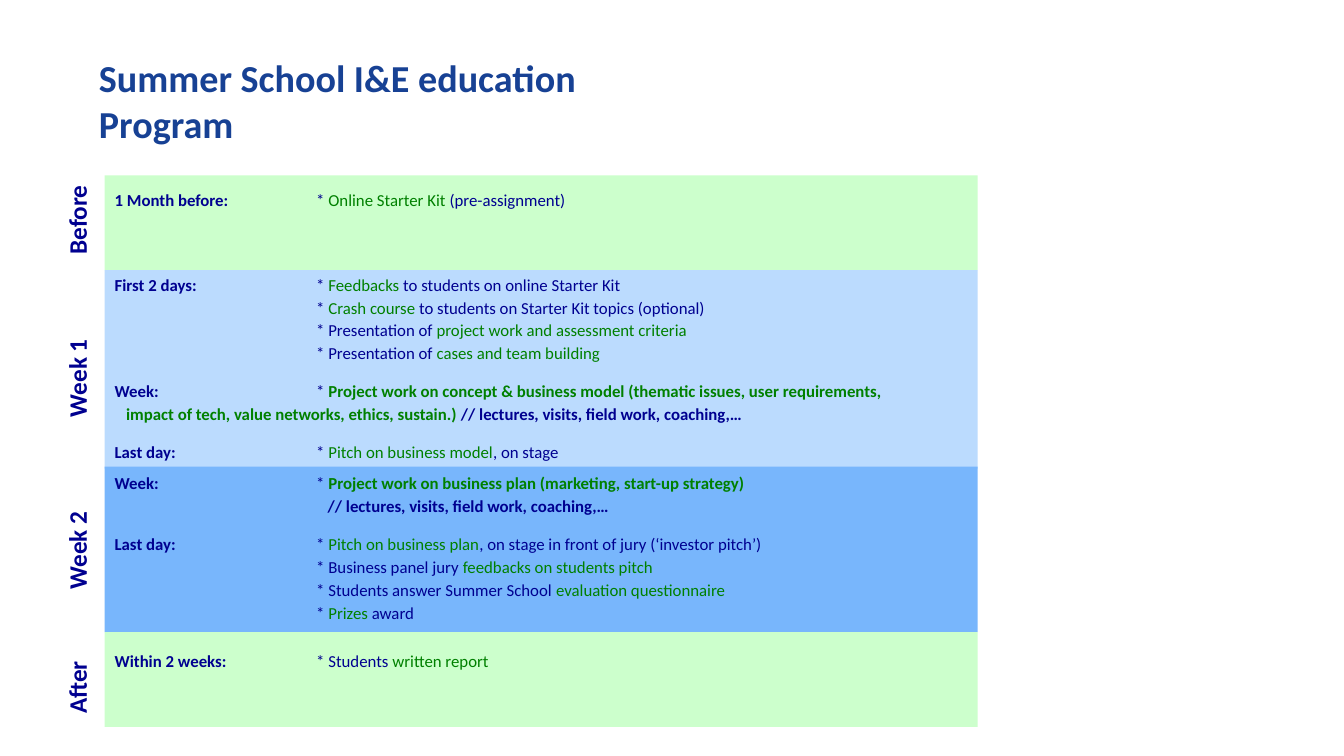
import lxml.etree
import pptx
import pptx.dml.color
import pptx.enum.shapes
import pptx.enum.text
import pptx.oxml.ns
import pptx.util

Cm = pptx.util.Cm
Pt = pptx.util.Pt
RGBColor = pptx.dml.color.RGBColor

TITLE_BLUE = RGBColor(0x17, 0x41, 0x94)
NAVY = RGBColor(0x00, 0x00, 0x90)
GREEN = RGBColor(0x00, 0x80, 0x00)
PALE_GREEN = RGBColor(0xCC, 0xFF, 0xCC)
LIGHT_BLUE = RGBColor(0xBB, 0xDB, 0xFE)
MID_BLUE = RGBColor(0x78, 0xB6, 0xFC)

PLAIN = (NAVY, False)
KEY = (GREEN, False)
STRONG = (NAVY, True)
STRONG_KEY = (GREEN, True)

BAND_LEFT = 2.64
BAND_WIDTH = 22
TAB = 5.08
HANG = 0.29
GAP = 11


def item(*runs, label="", before=0):
    return {"runs": [(label, STRONG), ("\t* ", PLAIN), *runs], "before": before, "left": 0}


def continuation(left, *runs):
    return {"runs": runs, "before": 0, "left": left}


LECTURES = ("// lectures, visits, field work, coaching,…", STRONG)

BEFORE = [
    item(("Online Starter Kit ", KEY), ("(pre-assignment)", PLAIN), label="1 Month before:"),
]
WEEK_1 = [
    item(("Feedbacks ", KEY), ("to students on online Starter Kit", PLAIN), label="First 2 days:"),
    item(("Crash course ", KEY), ("to students on Starter Kit topics (optional)", PLAIN)),
    item(("Presentation of ", PLAIN), ("project work and assessment criteria", KEY)),
    item(("Presentation of ", PLAIN), ("cases and team building", KEY)),
    item(("Project work on concept & business model (thematic issues, user requirements,", STRONG_KEY),
         label="Week:", before=GAP),
    continuation(HANG, ("impact of tech, value networks, ethics, sustain.) ", STRONG_KEY), LECTURES),
    item(("Pitch on business model", KEY), (", on stage", PLAIN), label="Last day:", before=GAP),
]
WEEK_2 = [
    item(("Project work on business plan (marketing, start-up strategy)", STRONG_KEY), label="Week:"),
    continuation(TAB + HANG, LECTURES),
    item(("Pitch on business plan", KEY), (", on stage in front of jury (‘investor pitch’)", PLAIN),
         label="Last day:", before=GAP),
    item(("Business panel jury ", PLAIN), ("feedbacks on students pitch", KEY)),
    item(("Students answer Summer School ", PLAIN), ("evaluation questionnaire", KEY)),
    item(("Prizes ", KEY), ("award", PLAIN)),
]
AFTER = [
    item(("Students ", PLAIN), ("written report", KEY), label="Within 2 weeks:"),
]

# name, band top, band height, fill, label centre, text top, text height, lines
PHASES = [
    ("Before", 4.42, 2.39, PALE_GREEN, 5.54, 4.6, 2.21, BEFORE),
    ("Week 1", 6.81, 5, LIGHT_BLUE, 9.53, 6.73, 4.93, WEEK_1),
    ("Week 2", 11.76, 4.17, MID_BLUE, 13.87, 11.73, 3.53, WEEK_2),
    ("After", 15.93, 2.39, PALE_GREEN, 17.32, 16.21, 2.13, AFTER),
]


class ProgramSlide:
    font = "Calibri"

    def __init__(self, prs):
        self.slide = prs.slides.add_slide(prs.slide_layouts[5])

    def style(self, p, size):
        p.font.name = self.font
        p.font.size = Pt(size)

    def title(self, lines, left, top, width, height):
        sp = self.slide.shapes.title
        sp.left, sp.top, sp.width, sp.height = Cm(left), Cm(top), Cm(width), Cm(height)
        tf = sp.text_frame
        tf.text = "\n".join(lines)
        tf.word_wrap = True
        tf.auto_size = pptx.enum.text.MSO_AUTO_SIZE.NONE
        tf.vertical_anchor = pptx.enum.text.MSO_ANCHOR.TOP
        for p in tf.paragraphs:
            p.alignment = pptx.enum.text.PP_ALIGN.LEFT
            p.line_spacing = 0.7
            p.space_before = Pt(10)
            self.style(p, 27.2)
            p.font.bold = True
            p.font.color.rgb = TITLE_BLUE

    def band(self, top, height, color):
        sp = self.slide.shapes.add_shape(
            pptx.enum.shapes.MSO_SHAPE.RECTANGLE,
            Cm(BAND_LEFT), Cm(top), Cm(BAND_WIDTH), Cm(height))
        sp.shadow.inherit = False
        sp.fill.solid()
        sp.fill.fore_color.rgb = color
        sp.line.fill.background()

    def side_label(self, text, middle, center=1.94, width=2.5, height=1.02):
        sp = self.slide.shapes.add_textbox(
            Cm(center - width / 2), Cm(middle - height / 2), Cm(width), Cm(height))
        sp.rotation = 270
        tf = sp.text_frame
        tf.word_wrap = True
        p = tf.paragraphs[0]
        p.text = text
        p.alignment = pptx.enum.text.PP_ALIGN.CENTER
        self.style(p, 18)
        p.font.bold = True
        p.font.color.rgb = NAVY

    def schedule(self, lines, top, height):
        sp = self.slide.shapes.add_textbox(Cm(BAND_LEFT), Cm(top), Cm(BAND_WIDTH), Cm(height))
        tf = sp.text_frame
        tf.word_wrap = True
        for i, line in enumerate(lines):
            p = tf.add_paragraph() if i else tf.paragraphs[0]
            self.indent(p, line["left"])
            p.line_spacing = 1.13
            p.space_before = Pt(line["before"])
            self.style(p, 12)
            for text, (color, bold) in line["runs"]:
                if text:
                    r = p.add_run()
                    r.text = text
                    r.font.bold = bold
                    r.font.color.rgb = color

    def indent(self, p, left):
        qn = pptx.oxml.ns.qn
        props = p._p.get_or_add_pPr()
        if left:
            props.set("marL", str(Cm(left)))
            props.set("indent", "0")
        else:
            tabs = lxml.etree.SubElement(props, qn("a:tabLst"))
            lxml.etree.SubElement(tabs, qn("a:tab"), pos=str(Cm(TAB)), algn="l")


def main():
    prs = pptx.Presentation()
    prs.slide_width, prs.slide_height = Cm(33.87), Cm(19.05)
    page = ProgramSlide(prs)
    page.title(["Summer School I&E education", "Program"], 2.24, 1.55, 23.62, 2.36)
    for name, top, height, color, middle, text_top, text_height, lines in PHASES:
        page.band(top, height, color)
        page.side_label(name, middle)
        page.schedule(lines, text_top, text_height)
    prs.save("out.pptx")


if __name__ == "__main__":
    main()
